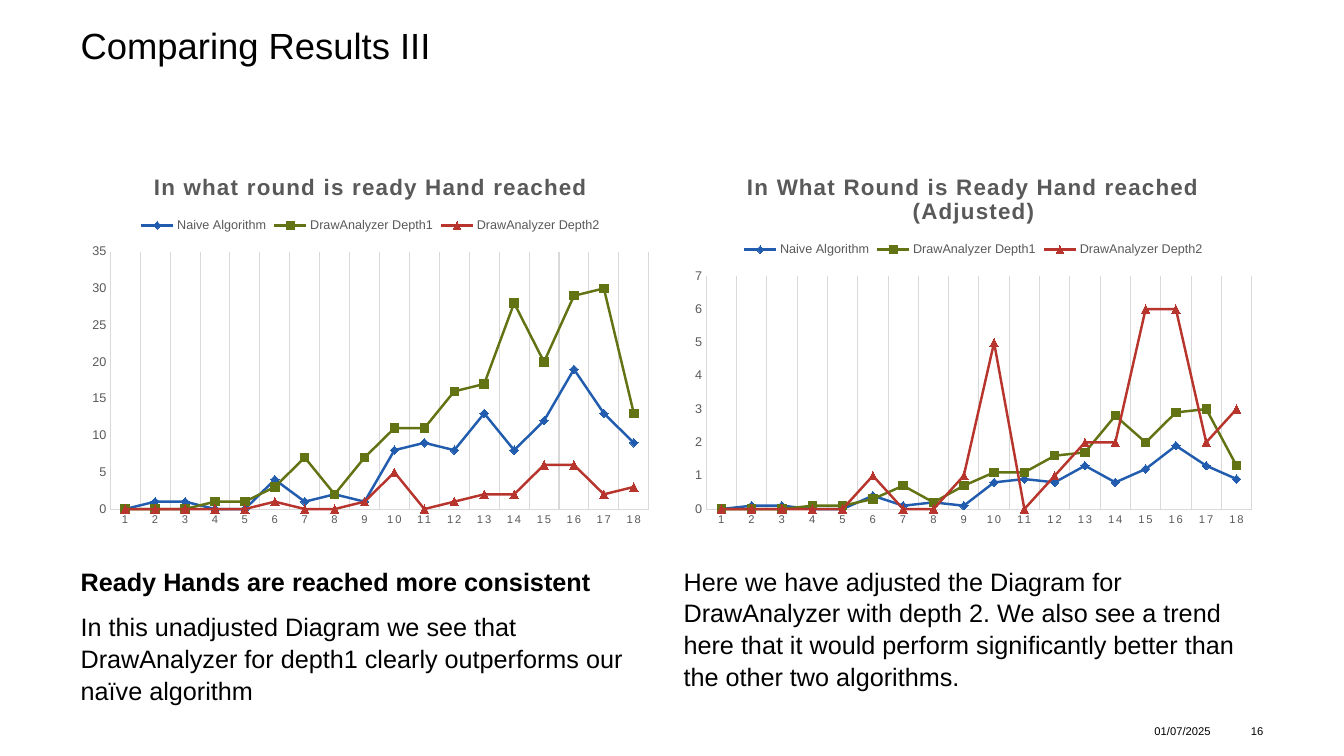
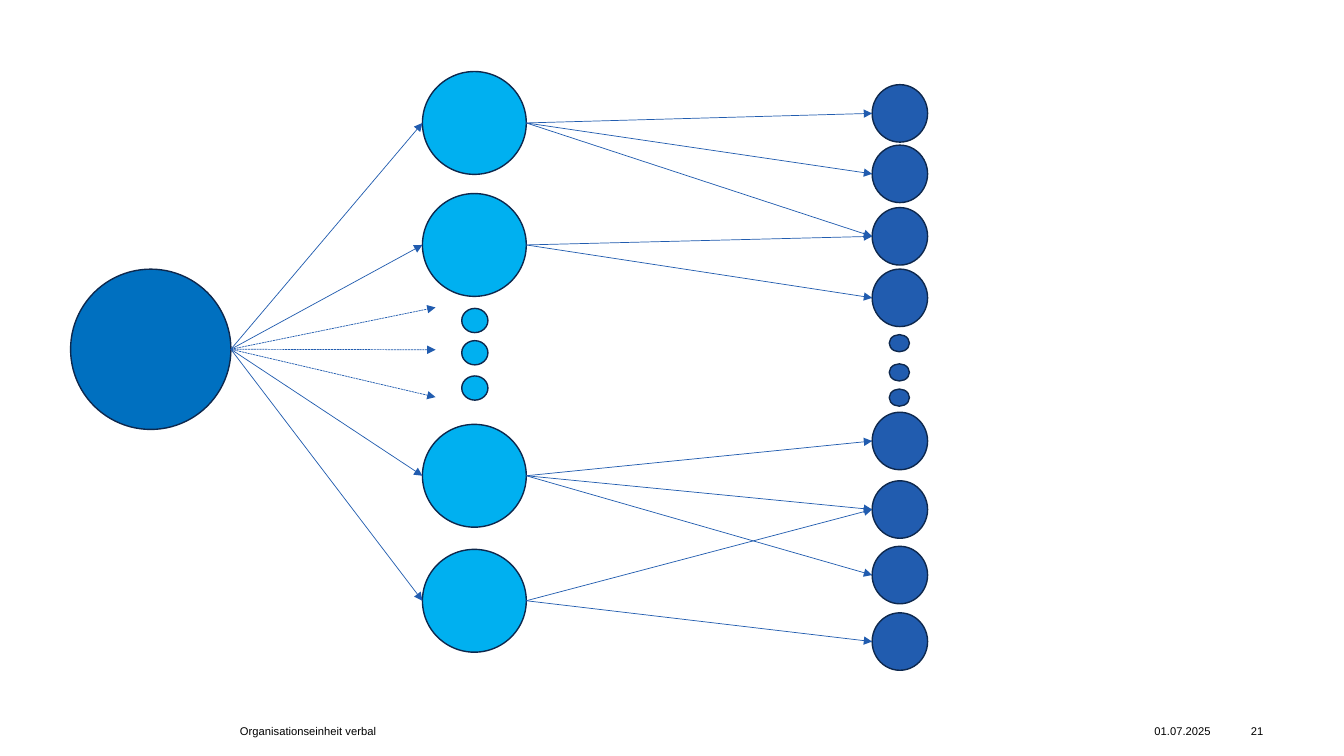
from lxml.etree import SubElement
from pptx import Presentation
from pptx.chart.data import CategoryChartData
from pptx.dml.color import RGBColor
from pptx.enum.chart import XL_CHART_TYPE as ChartType
from pptx.enum.chart import XL_LEGEND_POSITION as LegendPosition
from pptx.enum.chart import XL_MARKER_STYLE as Marker
from pptx.enum.chart import XL_TICK_MARK as TickMark
from pptx.enum.dml import MSO_LINE_DASH_STYLE as Dash
from pptx.enum.shapes import MSO_CONNECTOR_TYPE as ConnectorType
from pptx.enum.shapes import MSO_SHAPE as Shape
from pptx.enum.text import MSO_ANCHOR as Anchor
from pptx.enum.text import PP_ALIGN as Align
from pptx.oxml.ns import qn
from pptx.util import Inches, Pt

FONT = "Arial"
BLACK, GRAY, GRID = "000000", "595959", "D9D9D9"
BLUE, GREEN, RED = "215CAF", "627313", "B7352D"
ROOT_BLUE, HUB_BLUE, OUTLINE = "0070C0", "00B0F0", "0E284D"

# Columns of the two-part slide
COLUMN_LEFTS = (0.8, 6.78)
COLUMN_WIDTH = 5.75

# Connection sites of an ellipse
LEFT_SITE, RIGHT_SITE = 2, 6

ROUNDS = [str(number) for number in range(1, 19)]
NAIVE = [0, 1, 1, 0, 0, 4, 1, 2, 1, 8, 9, 8, 13, 8, 12, 19, 13, 9]
DEPTH_1 = [0, 0, 0, 1, 1, 3, 7, 2, 7, 11, 11, 16, 17, 28, 20, 29, 30, 13]
DEPTH_2 = [0, 0, 0, 0, 0, 1, 0, 0, 1, 5, 0, 1, 2, 2, 6, 6, 2, 3]
SERIES_STYLES = (
    ("Naive Algorithm", BLUE, Marker.DIAMOND),
    ("DrawAnalyzer Depth1", GREEN, Marker.SQUARE),
    ("DrawAnalyzer Depth2", RED, Marker.TRIANGLE),
)


def rgb(value):
    return RGBColor.from_string(value)


def style_font(font, size, color=BLACK, bold=False):
    font.name = FONT
    font.size = Pt(size)
    font.bold = bold
    font.color.rgb = rgb(color)


def style_line(line, color, width):
    line.color.rgb = rgb(color)
    line.width = Pt(width)


def add_text(slide, box, lines, size, anchor=Anchor.TOP, align=Align.LEFT,
             spacing=1.0, before=0, bold_lines=()):
    """Add a text box without margins, one paragraph per line of text."""
    frame = slide.shapes.add_textbox(*map(Inches, box)).text_frame
    frame.word_wrap = True
    frame.vertical_anchor = anchor
    frame.margin_left = frame.margin_right = 0
    frame.margin_top = frame.margin_bottom = 0
    frame.text = "\n".join(lines)
    for index, paragraph in enumerate(frame.paragraphs):
        paragraph.alignment = align
        paragraph.line_spacing = spacing
        paragraph.space_before = Pt(before)
        for run in paragraph.runs:
            style_font(run.font, size, bold=index in bold_lines)


def add_title(slide, title):
    add_text(slide, (0.8, 0.28, 11.73, 0.98), [title], 26, spacing=0.9)


def add_body(slide, left, lines, bold_lines=()):
    add_text(slide, (left, 5.6, COLUMN_WIDTH, 1.26), lines, 18,
             spacing=1.05, before=10, bold_lines=bold_lines)


def add_footer(slide, date, number, unit=None):
    parts = [(11.45, 0.67, date, Align.LEFT), (12.18, 0.35, number, Align.RIGHT)]
    if unit:
        parts.append((2.38, 5.91, unit, Align.LEFT))
    for left, width, text, align in parts:
        add_text(slide, (left, 7.13, width, 0.24), [text], 8, Anchor.MIDDLE, align)


def space_letters(font, hundredths):
    """Set the letter spacing, in hundredths of a point."""
    font._element.set("spc", str(hundredths))


def style_axis(axis, size, gridlines):
    axis.major_tick_mark = axis.minor_tick_mark = TickMark.NONE
    axis.has_major_gridlines = gridlines
    if gridlines:
        style_line(axis.major_gridlines.format.line, GRID, 0.75)
    style_line(axis.format.line, GRID, 0.75)
    style_font(axis.tick_labels.font, size, GRAY)


def add_line_chart(slide, left, title, value_lists):
    data = CategoryChartData()
    data.categories = ROUNDS
    for (name, _, _), values in zip(SERIES_STYLES, value_lists):
        data.add_series(name, values)
    box = map(Inches, (left, 1.55, COLUMN_WIDTH, 3.74))
    chart = slide.shapes.add_chart(ChartType.LINE_MARKERS, *box, data).chart
    style_font(chart.font, 10)

    chart.has_title = True
    frame = chart.chart_title.text_frame
    frame.text = title
    title_font = frame.paragraphs[0].runs[0].font
    style_font(title_font, 16, GRAY, bold=True)
    space_letters(title_font, 100)

    chart.has_legend = True
    chart.legend.position = LegendPosition.TOP
    chart.legend.include_in_layout = False
    style_font(chart.legend.font, 9, GRAY)

    style_axis(chart.category_axis, 8, gridlines=True)
    space_letters(chart.category_axis.tick_labels.font, 120)
    style_axis(chart.value_axis, 9, gridlines=False)

    plot = chart.plots[0]
    plot.vary_by_categories = False
    for series, (_, color, marker) in zip(plot.series, SERIES_STYLES):
        series.smooth = False
        style_line(series.format.line, color, 1.75)
        series.marker.style = marker
        series.marker.size = 6
        series.marker.format.fill.solid()
        series.marker.format.fill.fore_color.rgb = rgb(color)
        style_line(series.marker.format.line, color, 0.75)


def add_circle(slide, left, top, width, height, color):
    circle = slide.shapes.add_shape(
        Shape.OVAL, *map(Inches, (left, top, width, height)))
    circle.shadow.inherit = False
    circle.fill.solid()
    circle.fill.fore_color.rgb = rgb(color)
    style_line(circle.line, OUTLINE, 1)
    return circle


def add_circle_column(slide, left, tops, width, height, color):
    return [add_circle(slide, left, top, width, height, color) for top in tops]


def middle(shape):
    return shape.top + shape.height // 2


def add_arrow(slide, source, end_x, end_y):
    """Add an arrow from the right side of a circle to a point."""
    arrow = slide.shapes.add_connector(
        ConnectorType.STRAIGHT,
        source.left + source.width, middle(source), end_x, end_y)
    style_line(arrow.line, BLUE, 0.5)
    SubElement(arrow.line._get_or_add_ln(), qn("a:tailEnd"), type="triangle")
    SubElement(arrow._element.spPr, qn("a:effectLst"))
    glue(arrow, "a:stCxn", source, RIGHT_SITE)
    return arrow


def glue(arrow, tag, circle, site):
    """Join an arrow's end to a connection site of a circle."""
    SubElement(arrow._element.nvCxnSpPr.cNvCxnSpPr, qn(tag),
               id=str(circle.shape_id), idx=str(site))


def join(slide, source, target):
    arrow = add_arrow(slide, source, target.left, middle(target))
    glue(arrow, "a:endCxn", target, LEFT_SITE)


def build_results_slide(slide):
    add_title(slide, "Comparing Results III")
    left, right = COLUMN_LEFTS
    add_body(slide, left, [
        "Ready Hands are reached more consistent",
        "In this unadjusted Diagram we see that DrawAnalyzer for depth1 "
        "clearly outperforms our naïve algorithm",
    ], bold_lines=(0,))
    add_body(slide, right, [
        "Here we have adjusted the Diagram for DrawAnalyzer with depth 2. "
        "We also see a trend here that it would perform significantly better "
        "than the other two algorithms.",
    ])
    add_line_chart(slide, left, "In what round is ready Hand reached",
                   (NAIVE, DEPTH_1, DEPTH_2))
    adjusted = [[value / 10 for value in values] for values in (NAIVE, DEPTH_1)]
    add_line_chart(slide, right, "In What Round is Ready Hand reached (Adjusted)",
                   (*adjusted, DEPTH_2))
    add_footer(slide, "01/07/2025", "16")


def build_tree_slide(slide):
    root = add_circle(slide, 0.7, 2.67, 1.59, 1.59, ROOT_BLUE)
    hubs = add_circle_column(
        slide, 4.19, (0.71, 1.92, 4.21, 5.45), 1.03, 1.02, HUB_BLUE)
    leaves = add_circle_column(
        slide, 8.65, (0.84, 1.44, 2.06, 2.67, 4.09, 4.77, 5.42, 6.08),
        0.55, 0.57, BLUE)
    add_circle_column(slide, 4.58, (3.06, 3.38, 3.73), 0.26, 0.24, HUB_BLUE)
    add_circle_column(slide, 8.82, (3.32, 3.61, 3.86), 0.2, 0.17, BLUE)

    for hub, leaf_numbers in zip(hubs, ((0, 1, 2), (2, 3), (4, 5, 6), (5, 7))):
        join(slide, root, hub)
        for number in leaf_numbers:
            join(slide, hub, leaves[number])
    for end_y in (3.05, 3.47, 3.94):
        arrow = add_arrow(slide, root, Inches(4.32), Inches(end_y))
        arrow.line.dash_style = Dash.SQUARE_DOT
    add_footer(slide, "01.07.2025", "21", "Organisationseinheit verbal")


def main():
    presentation = Presentation()
    presentation.slide_width = Inches(13.33)
    presentation.slide_height = Inches(7.5)
    blank = presentation.slide_layouts[6]
    for build in (build_results_slide, build_tree_slide):
        build(presentation.slides.add_slide(blank))
    presentation.save("out.pptx")


if __name__ == "__main__":
    main()
